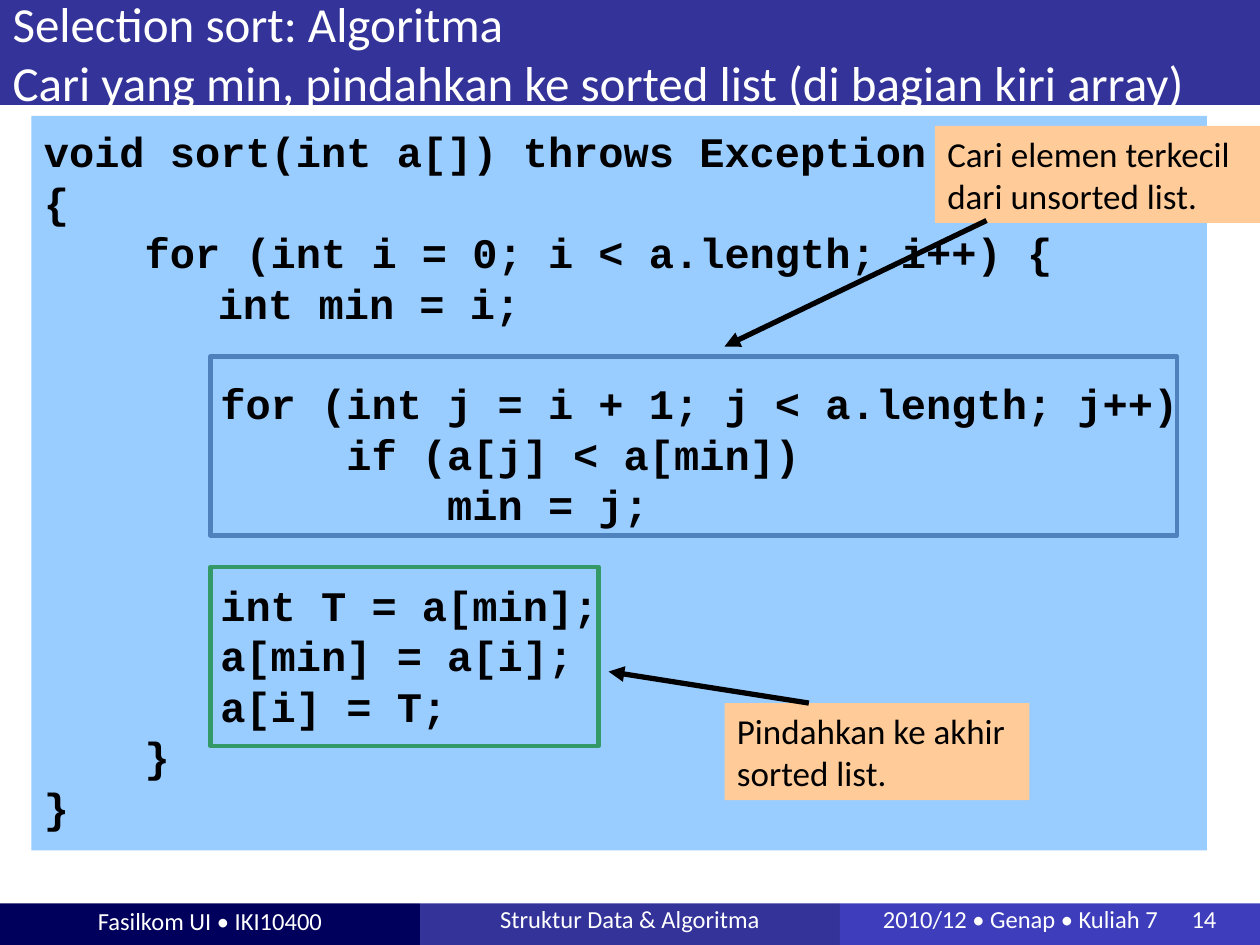
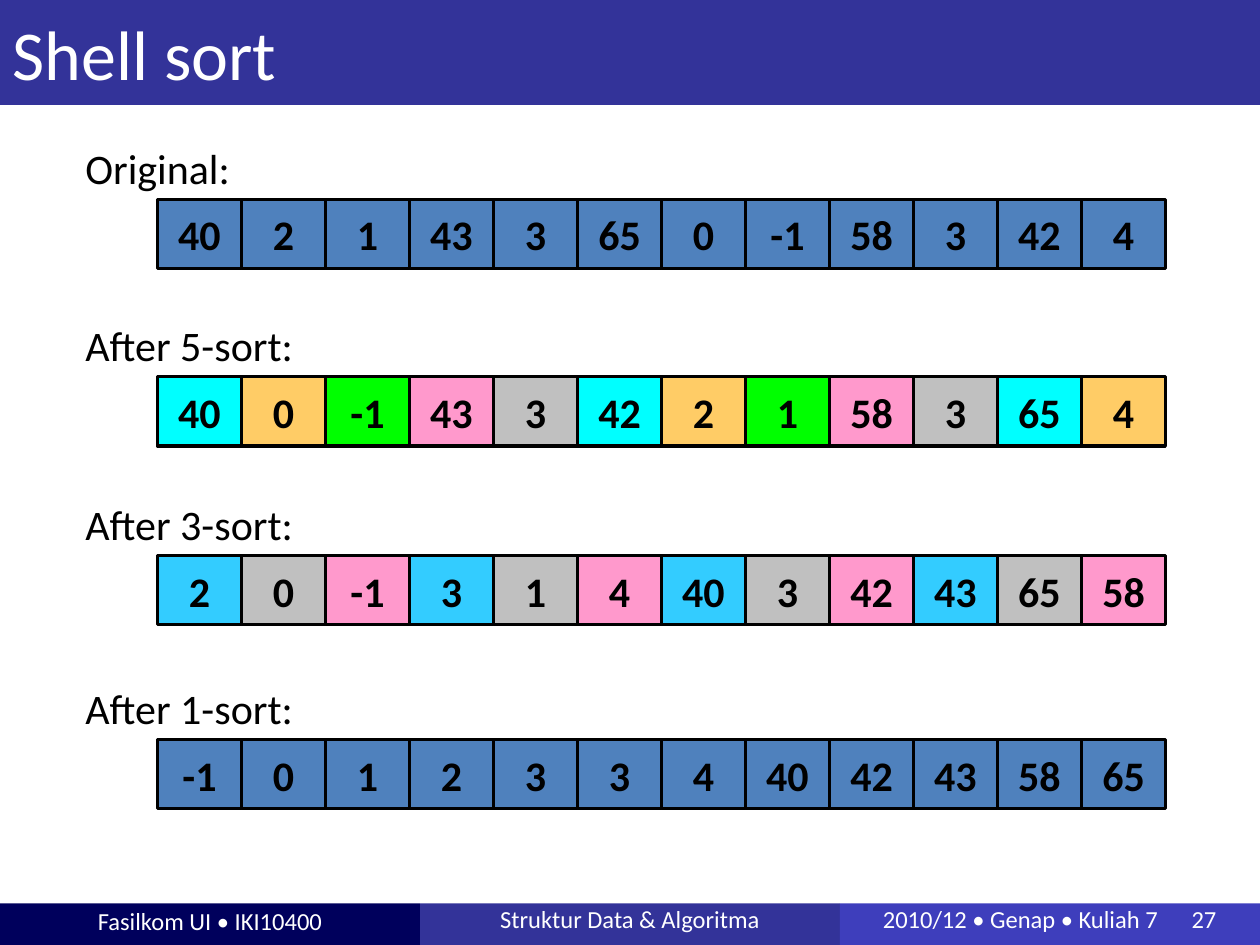
from lxml import etree
from pptx import Presentation
from pptx.dml.color import RGBColor
from pptx.enum.shapes import MSO_CONNECTOR, MSO_SHAPE
from pptx.enum.text import MSO_ANCHOR, MSO_AUTO_SIZE, PP_ALIGN
from pptx.oxml.ns import qn
from pptx.util import Inches, Pt

RECT, STRAIGHT = MSO_SHAPE.RECTANGLE, MSO_CONNECTOR.STRAIGHT
LEFT, CENTER = PP_ALIGN.LEFT, PP_ALIGN.CENTER
TOP, MIDDLE = MSO_ANCHOR.TOP, MSO_ANCHOR.MIDDLE

WHITE = RGBColor(0xFF, 0xFF, 0xFF)
BLACK = RGBColor(0, 0, 0)
NAVY = RGBColor(0x00, 0x00, 0x5C)
INDIGO = RGBColor(0x33, 0x33, 0x99)
VIOLET = RGBColor(0x3E, 0x3E, 0xBC)
SKY = RGBColor(0x99, 0xCC, 0xFF)
PEACH = RGBColor(0xFF, 0xCC, 0x99)
BLUE = RGBColor(0x4F, 0x81, 0xBD)
GREEN = RGBColor(0x33, 0x99, 0x66)
CYAN = RGBColor(0x00, 0xFF, 0xFF)
AMBER = RGBColor(0xFF, 0xCC, 0x66)
LIME = RGBColor(0x00, 0xFF, 0x00)
PINK = RGBColor(0xFF, 0x99, 0xCC)
GRAY = RGBColor(0xC0, 0xC0, 0xC0)
AQUA = RGBColor(0x33, 0xCC, 0xFF)

BODY_FONT, CODE_FONT = "Calibri", "Courier New"
W, H = 10, 7.5
TITLE_H = H / 9
FOOTER_W, FOOTER_H = W / 3, 0.33
CODE_LINE = 28.8
CELL_LEFT, CELL_W, CELL_H = 1.25, 2 / 3, 0.55
LABEL_LEFT, LABEL_W, LABEL_H = 0.58, 2.5, 0.5

FOOTERS = [
    ("Fasilkom UI • IKI10400", NAVY, {}),
    ("Struktur Data & Algoritma", INDIGO, {"spacing": 0.81}),
    ("2010/12 • Genap • Kuliah 7\t{}", VIOLET,
     {"spacing": 0.81, "align": LEFT, "tab": 2.45, "inset": (0.34, 0, 0, 0.05)}),
]

CODE_BLOCKS = [
    ["void sort(int a[]) throws Exception",
     "{",
     "    for (int i = 0; i < a.length; i++) {",
     "\t     int min = i;"],
    ["       for (int j = i + 1; j < a.length; j++)",
     "            if (a[j] < a[min])",
     "                min = j;"],
    ["       int T = a[min];",
     "       a[min] = a[i];",
     "       a[i] = T;",
     "    }",
     "}"],
]
CALLOUTS = [
    ("Cari elemen terkecil dari unsorted list.", (7.42, 1, 2.67, 0.77)),
    ("Pindahkan ke akhir sorted list.", (5.75, 5.58, 2.42, 0.77)),
]
CODE_FRAMES = [(BLUE, (1.67, 2.83, 7.67, 1.42)), (GREEN, (1.67, 4.5, 3.08, 1.42))]
ARROWS = [(7.83, 1.75, 5.75, 2.75), (6.42, 5.58, 4.83, 5.33)]

SORT_STAGES = [
    ("Original:", 1.08, [40, 2, 1, 43, 3, 65, 0, -1, 58, 3, 42, 4], [BLUE]),
    ("After 5-sort:", 2.49, [40, 0, -1, 43, 3, 42, 2, 1, 58, 3, 65, 4],
     [CYAN, AMBER, LIME, PINK, GRAY]),
    ("After 3-sort:", 3.91, [2, 0, -1, 3, 1, 4, 40, 3, 42, 43, 65, 58],
     [AQUA, GRAY, PINK]),
    ("After 1-sort:", 5.37, [-1, 0, 1, 2, 3, 3, 4, 40, 42, 43, 58, 65], [BLUE]),
]


def write(sp, lines, size, color=BLACK, font=BODY_FONT, bold=False, align=LEFT,
          anchor=TOP, wrap=True, inset=(0.1, 0.05, 0.1, 0.05), spacing=None,
          hanging=None, tab=None, gaps=()):
    tf = sp.text_frame
    tf.auto_size = MSO_AUTO_SIZE.NONE
    tf.word_wrap = wrap
    tf.vertical_anchor = anchor
    tf.margin_left, tf.margin_top, tf.margin_right, tf.margin_bottom = map(Inches, inset)
    for i, line in enumerate(lines):
        p = tf.paragraphs[0] if i == 0 else tf.add_paragraph()
        p.text = line
        p.alignment = align
        if spacing:
            p.line_spacing = spacing
        if i in gaps:
            p.space_before = Pt(CODE_LINE)
        pPr = p._p.get_or_add_pPr()
        if hanging:
            pPr.set("marL", str(Inches(hanging)))
            pPr.set("indent", str(-Inches(hanging)))
        if tab:
            tabs = etree.SubElement(pPr, qn("a:tabLst"))
            etree.SubElement(tabs, qn("a:tab"), pos=str(Inches(tab)), algn="l")
        for r in p.runs:
            r.font.name, r.font.size, r.font.bold = font, Pt(size), bold
            r.font.color.rgb = color


def add_rect(s, box, fill=None, line=None, width=1.0):
    sp = s.shapes.add_shape(RECT, *map(Inches, box))
    sp.shadow.inherit = False
    if fill is None:
        sp.fill.background()
    else:
        sp.fill.solid()
        sp.fill.fore_color.rgb = fill
    if line is None:
        sp.line.fill.background()
    else:
        sp.line.color.rgb = line
        sp.line.width = Pt(width)
    return sp


def add_arrow(s, ends):
    c = s.shapes.add_connector(STRAIGHT, *map(Inches, ends))
    c.line.color.rgb = BLACK
    c.line.width = Pt(3)
    etree.SubElement(c.line._get_or_add_ln(), qn("a:tailEnd"), type="triangle")
    etree.SubElement(c._element.spPr, qn("a:effectLst"))


def new_slide(prs, title, size, number):
    s = prs.slides.add_slide(prs.slide_layouts[5])
    for i, (text, fill, fmt) in enumerate(FOOTERS):
        sp = add_rect(s, (i * FOOTER_W, H - FOOTER_H, FOOTER_W, FOOTER_H), fill)
        write(sp, [text.format(number)], 14, WHITE,
              **{"align": CENTER, "anchor": MIDDLE, "inset": (0.1, 0, 0.1, 0.05), **fmt})
    sp = s.shapes.title
    sp.left, sp.top, sp.width, sp.height = map(Inches, (0, 0, W, TITLE_H))
    sp.fill.solid()
    sp.fill.fore_color.rgb = INDIGO
    write(sp, [title], size, WHITE, anchor=MIDDLE)
    return s


def selection_sort(prs):
    title = ("Selection sort: Algoritma\v"
             "Cari yang min, pindahkan ke sorted list (di bagian kiri array)")
    s = new_slide(prs, title, 28, 14)
    lines = sum(CODE_BLOCKS, [])
    gaps = [sum(map(len, CODE_BLOCKS[:i])) for i in range(1, len(CODE_BLOCKS))]
    write(add_rect(s, (0.25, 0.92, 9.33, 5.83), SKY), lines, 24, font=CODE_FONT,
          bold=True, spacing=Pt(CODE_LINE), hanging=0.38, gaps=gaps,
          inset=(0.1, 0.08, 0.1, 0.05))
    for text, box in CALLOUTS:
        write(add_rect(s, box, PEACH), [text], 20)
    for color, box in CODE_FRAMES:
        add_rect(s, box, line=color, width=2.5)
    for ends in ARROWS:
        add_arrow(s, ends)


def shell_sort(prs):
    s = new_slide(prs, "Shell sort", 40, 27)
    for label, top, values, colors in SORT_STAGES:
        sp = s.shapes.add_textbox(*map(Inches, (LABEL_LEFT, top, LABEL_W, LABEL_H)))
        write(sp, [label], 24)
        for i, value in enumerate(values):
            box = (CELL_LEFT + i * CELL_W, top + LABEL_H, CELL_W, CELL_H)
            sp = add_rect(s, box, colors[i % len(colors)], BLACK, 1.75)
            write(sp, [str(value)], 24, bold=True, align=CENTER, anchor=MIDDLE, wrap=False)


def main():
    prs = Presentation()
    prs.slide_width, prs.slide_height = Inches(W), Inches(H)
    selection_sort(prs)
    shell_sort(prs)
    prs.save("out.pptx")


if __name__ == "__main__":
    main()
